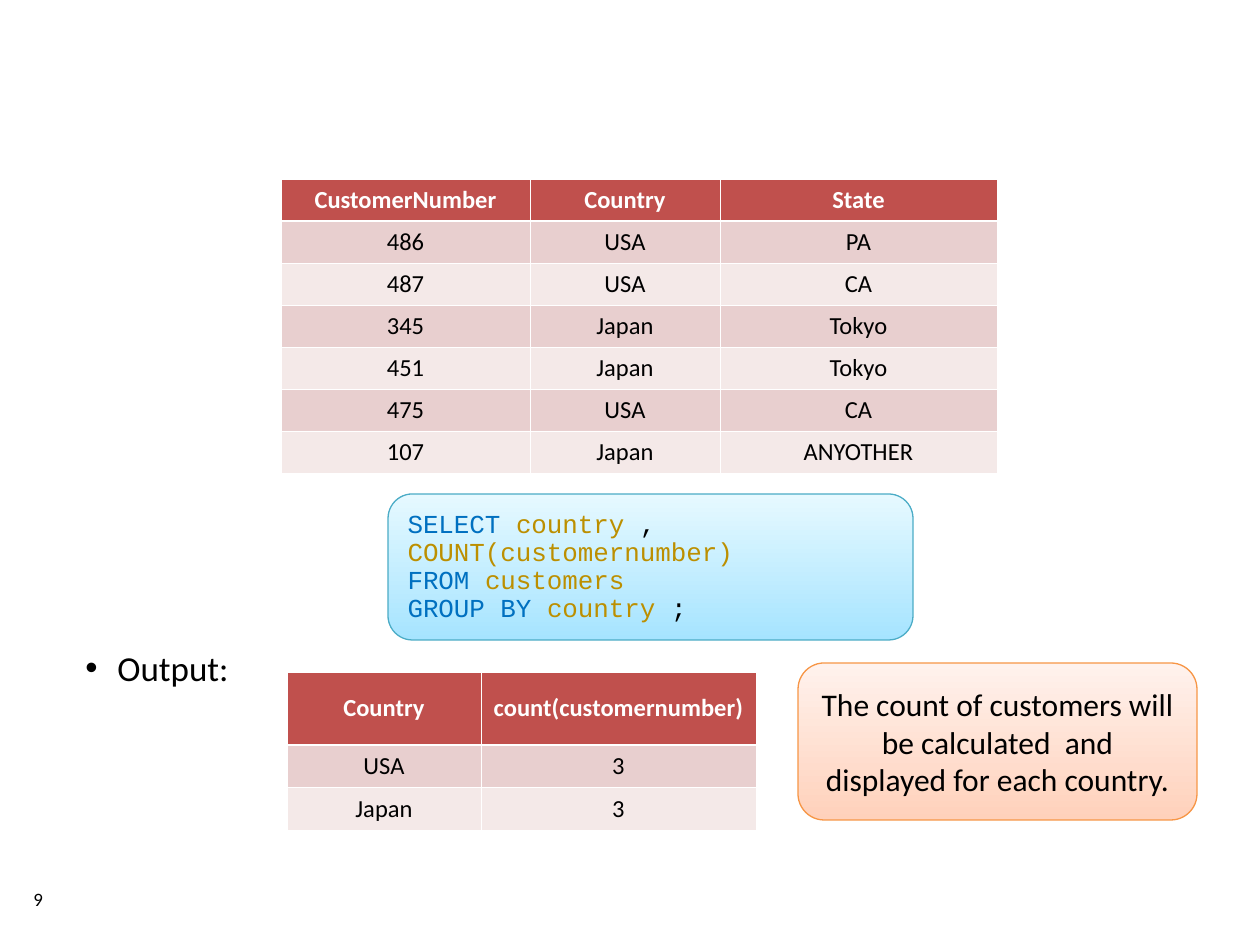
from dataclasses import dataclass

from lxml import etree
from pptx import Presentation
from pptx import util as u
from pptx.dml import color
from pptx.enum import shapes, text
from pptx.oxml import ns

SCALE = 914400 / 126

COLORS = {
    "black": "000000",
    "white": "FFFFFF",
    "header": "C0504D",
    "odd_row": "E8CFCF",
    "even_row": "F4E9E8",
    "keyword": "0070C0",
    "identifier": "BC8F00",
    "query_line": "4BACC6",
    "query_bottom": "A6E4FF",
    "query_top": "E6F9FF",
    "note_line": "F79646",
    "note_bottom": "FFD1BB",
    "note_top": "FFF2ED",
}


@dataclass(frozen=True)
class Box:
    left: int
    top: int
    width: int
    height: int


@dataclass(frozen=True)
class Run:
    words: str
    color: str = "black"


@dataclass(frozen=True)
class Style:
    font: dict
    paragraph: dict


@dataclass(frozen=True)
class Grid:
    left: int
    top: int
    columns: list[int]
    heights: list[int]
    rows: list[list[str]]


@dataclass(frozen=True)
class Panel:
    box: Box
    palette: str
    lines: list[list[Run]]
    style: Style


def px(length: int) -> int:
    return round(length * SCALE)


def rgb(name: str) -> color.RGBColor:
    return color.RGBColor.from_string(COLORS[name])


def apply(target, values: dict) -> None:
    for attribute, value in values.items():
        setattr(target, attribute, value)


def place(box: Box) -> list[int]:
    return [px(side) for side in (box.left, box.top, box.width, box.height)]


def write(frame, lines: list[list[Run]], style: Style) -> None:
    for index, line in enumerate(lines):
        paragraph = frame.add_paragraph() if index else frame.paragraphs[0]
        apply(paragraph, style.paragraph)
        for part in line:
            run = paragraph.add_run()
            run.text = part.words
            apply(run.font, style.font)
            run.font.color.rgb = rgb(part.color)


def add_border(cell, side: str, points: float) -> None:
    properties = cell._tc.get_or_add_tcPr()
    line = etree.SubElement(properties, ns.qn(f"a:ln{side}"), w=str(u.Pt(points)))
    fill = etree.SubElement(line, ns.qn("a:solidFill"))
    etree.SubElement(fill, ns.qn("a:srgbClr"), val=COLORS["white"])


def draw_grid(slide, grid: Grid) -> None:
    box = Box(grid.left, grid.top, sum(grid.columns), sum(grid.heights))
    table = slide.shapes.add_table(
        len(grid.rows), len(grid.columns), *place(box)
    ).table
    table.horz_banding = False
    for column, width in zip(table.columns, grid.columns):
        column.width = px(width)
    for row, height in zip(table.rows, grid.heights):
        row.height = px(height)
    for r, values in enumerate(grid.rows):
        fill = "header" if r == 0 else "odd_row" if r % 2 else "even_row"
        ink = "black" if r else "white"
        borders = {
            "L": 0.45,
            "R": 0.45,
            "T": 1.47 if r == 1 else 0.45,
            "B": 1.47 if r == 0 else 0.45,
        }
        style = Style(
            {"name": "Calibri", "size": u.Pt(14), "bold": r == 0},
            {"alignment": text.PP_ALIGN.CENTER},
        )
        for c, value in enumerate(values):
            cell = table.cell(r, c)
            cell.vertical_anchor = text.MSO_ANCHOR.MIDDLE
            for side, points in borders.items():
                add_border(cell, side, points)
            cell.fill.solid()
            cell.fill.fore_color.rgb = rgb(fill)
            write(cell.text_frame, [[Run(value, ink)]], style)


def draw_panel(slide, panel: Panel) -> None:
    shape = slide.shapes.add_shape(
        shapes.MSO_SHAPE.ROUNDED_RECTANGLE, *place(panel.box)
    )
    shape.shadow.inherit = False
    shape.fill.gradient()
    shape.fill.gradient_angle = 90
    for stop, end in zip(shape.fill.gradient_stops, ("bottom", "top")):
        stop.color.rgb = rgb(f"{panel.palette}_{end}")
    shape.line.color.rgb = rgb(f"{panel.palette}_line")
    shape.line.width = u.Pt(0.75)
    apply(
        shape.text_frame,
        {"word_wrap": True, "vertical_anchor": text.MSO_ANCHOR.MIDDLE},
    )
    write(shape.text_frame, panel.lines, panel.style)


def draw_label(slide, box: Box, words: str, style: Style):
    frame = slide.shapes.add_textbox(*place(box)).text_frame
    frame.word_wrap = True
    write(frame, [[Run(words)]], style)
    return frame.paragraphs[0]


def add_bullet(paragraph, indent: int) -> None:
    properties = paragraph._p.get_or_add_pPr()
    properties.set("marL", str(px(indent)))
    properties.set("indent", str(-px(indent)))
    etree.SubElement(properties, ns.qn("a:buFont"), typeface="Arial")
    etree.SubElement(properties, ns.qn("a:buChar"), char="•")


CUSTOMERS = Grid(281, 179, [249, 190, 277], [42] * 7, [
    ["CustomerNumber", "Country", "State"],
    ["486", "USA", "PA"],
    ["487", "USA", "CA"],
    ["345", "Japan", "Tokyo"],
    ["451", "Japan", "Tokyo"],
    ["475", "USA", "CA"],
    ["107", "Japan", "ANYOTHER"],
])

COUNTS = Grid(287, 672, [194, 275], [73, 42, 42], [
    ["Country", "count(customernumber)"],
    ["USA", "3"],
    ["Japan", "3"],
])

QUERY = Panel(Box(388, 494, 525, 146), "query", [
    [Run("SELECT ", "keyword"), Run("country ", "identifier"), Run(", "),
     Run("COUNT(customernumber)", "identifier")],
    [Run("FROM ", "keyword"), Run("customers", "identifier")],
    [Run("GROUP BY ", "keyword"), Run("country ", "identifier"), Run(";")],
], Style(
    {"name": "Courier New", "size": u.Pt(14.8)},
    {"alignment": text.PP_ALIGN.LEFT, "line_spacing": 0.9},
))

NOTE = Panel(Box(798, 663, 399, 157), "note", [
    [Run("The count of customers will be calculated  and displayed for each country.")],
], Style(
    {"name": "Calibri", "size": u.Pt(18)},
    {"alignment": text.PP_ALIGN.CENTER},
))

OUTPUT_STYLE = Style({"name": "Calibri", "size": u.Pt(20)}, {})
NUMBER_STYLE = Style({"name": "Calibri", "size": u.Pt(10.8)}, {"line_spacing": 0.8})


def main() -> None:
    deck = Presentation()
    apply(deck, {"slide_width": px(1260), "slide_height": px(945)})
    slide = deck.slides.add_slide(deck.slide_layouts[6])
    draw_grid(slide, COUNTS)
    output = draw_label(slide, Box(73, 640, 200, 55), "Output:", OUTPUT_STYLE)
    add_bullet(output, 32)
    draw_grid(slide, CUSTOMERS)
    for panel in (QUERY, NOTE):
        draw_panel(slide, panel)
    draw_label(slide, Box(21, 886, 63, 38), "9", NUMBER_STYLE)
    deck.save("out.pptx")


if __name__ == "__main__":
    main()
